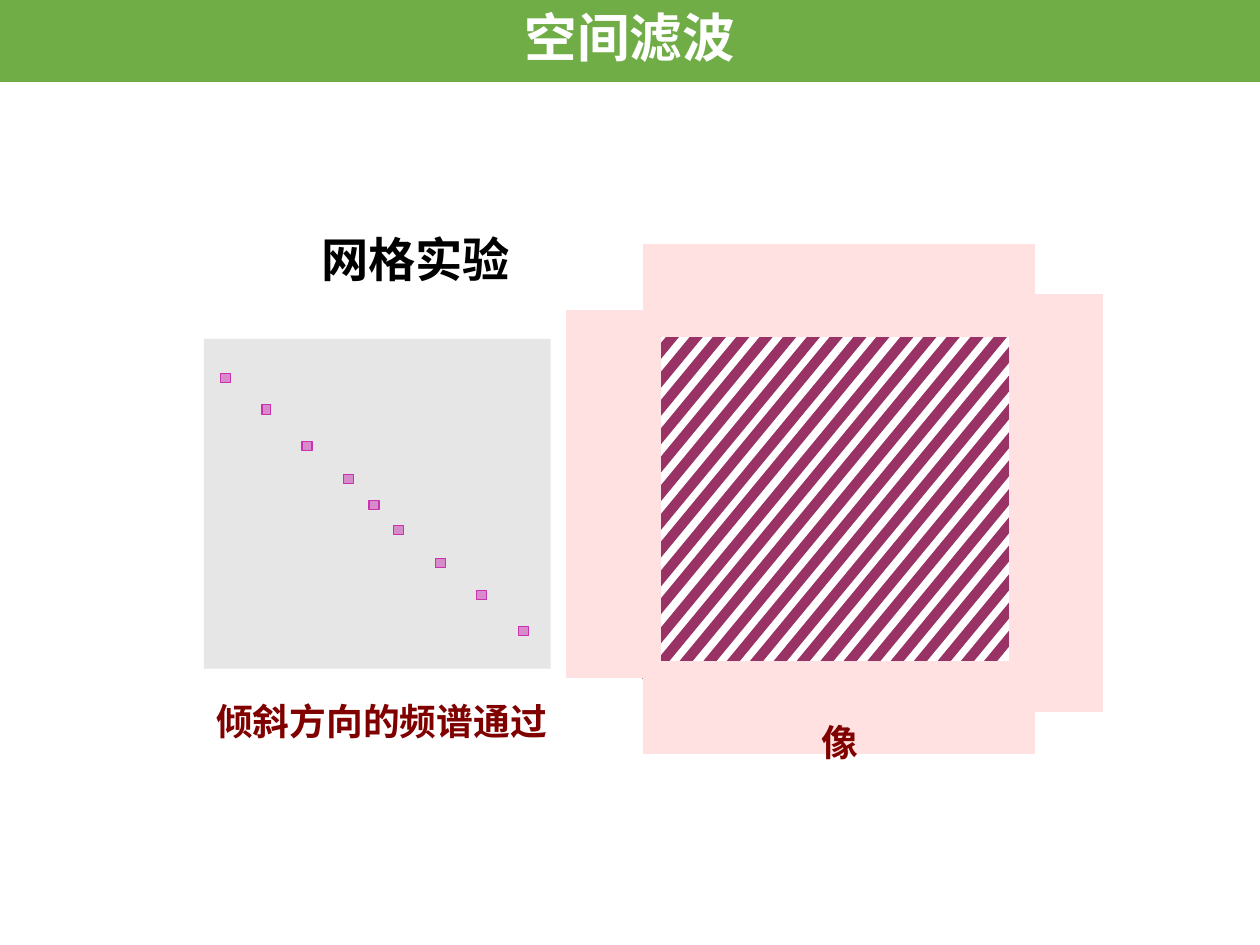
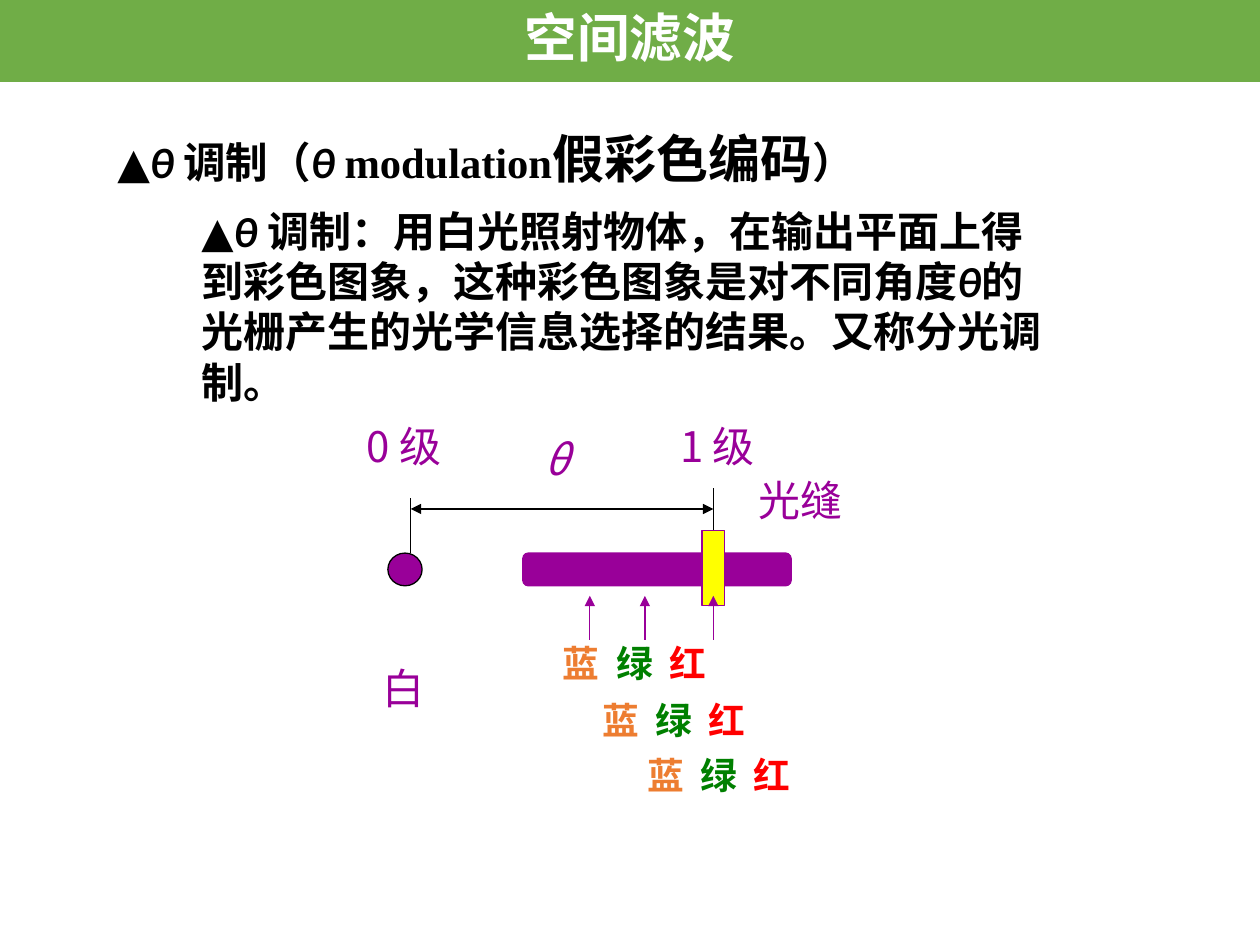
import math
import pptx
import pptx.dml.color
import pptx.enum.shapes
import pptx.enum.text
import pptx.oxml.ns
import pptx.util
from lxml import etree

Cm = pptx.util.Cm
Pt = pptx.util.Pt
qn = pptx.oxml.ns.qn
SHAPES = pptx.enum.shapes.MSO_SHAPE
ALIGN = pptx.enum.text.PP_ALIGN
ANCHOR = pptx.enum.text.MSO_ANCHOR

GREEN, WHITE, BLACK = "70AD47", "FFFFFF", "000000"
GREY, MAGENTA = "E7E6E6", "CA32B1"
PINK, PLUM, MAROON = "FFE1E1", "993366", "800000"
PURPLE, YELLOW = "990099", "FFFF00"
CJK = "Noto Sans CJK SC"

BAND = {"text": "空间滤波", "box": (0, 0, 25.4, 1.65)}
BAND_FONT = {"name": "Calibri", "size": 30, "bold": True, "color": WHITE}
HEADING_FONT = {"name": "Calibri", "size": 27, "bold": True, "color": BLACK}
CAPTION_FONT = {"name": "Times New Roman", "size": 21, "bold": True, "color": MAROON}
THETA_FONT = {"name": "Calibri", "size": 24, "bold": True, "color": BLACK}
LABEL_FONT = {"name": CJK, "size": 24, "color": PURPLE}
COLOUR_FONT = {"name": CJK, "size": 21, "bold": True}

GRID_TITLE = ("网格实验", (6.22, 4.57, 8, 1.42))
SPECTRUM_CAPTION = ("倾斜方向的频谱通过", (4.11, 13.97, 7.47, 1.14))
IMAGE_CAPTION = ("像", (16.05, 14.35, 1.42, 1.68))
SPECTRUM_BOX = (4.11, 6.83, 6.99, 6.65)
SPECTRUM_DOTS = [
    (4.55, 7.62), (5.37, 8.26), (6.19, 8.99), (7.03, 9.66), (7.54, 10.18),
    (8.03, 10.69), (8.88, 11.35), (9.71, 11.99), (10.55, 12.72),
]
UPRIGHT_DOT = 1
DOT_LONG, DOT_SHORT = 0.2, 0.18

IMAGE_WINDOW = (13.31, 6.78, 20.35, 13.33)
IMAGE_MASKS = [
    (11.43, 6.27, 1.88, 7.39), (12.98, 4.93, 7.87, 1.85),
    (12.98, 13.33, 7.87, 1.85), (20.35, 5.94, 1.88, 8.41),
]
STRIPE_COUNT, STRIPE_ANGLE, STRIPE_WIDTH = 26, 39.5, 0.18
STRIPE_FIRST, STRIPE_LAST, STRIPE_OVERHANG = 10.87, 22.67, 0.4

MODULATION_TITLE = [
    ("▲", {}), ("θ ", {"italic": True}), ("调制（", {}), ("θ ", {"italic": True}),
    ("modulation", {"name": "Times New Roman"}), ("假彩色编码", {"size": 29.7}), ("）", {}),
]
MODULATION_TEXT = [
    ("▲", {}), ("θ ", {"italic": True}),
    ("调制：用白光照射物体，在输出平面上得到彩色图象，这种彩色图象是对不同角度", {}),
    ("θ", {"italic": True}),
    ("的光栅产生的光学信息选择的结果。又称分光调制。", {}),
]
COLOUR_NAMES = [("蓝", "ED7D31"), ("绿", "008000"), ("红", "FF0000")]
COLOUR_ROWS = [(11.1, 12.8), (11.89, 13.94), (12.8, 15.04)]
COLOUR_PITCH = 1.07
LABELS = [
    ("0 级", 7.14, 8.36, {}),
    ("1 级", 13.46, 8.36, {}),
    ("光缝", 15.04, 9.45, {"name": "Roboto Slab"}),
    ("白", 7.47, 13.23, {"name": "Roboto Slab"}),
    ("θ", 10.72, 8.61, {"italic": True}),
]
ORDER_SHAPES = [
    (SHAPES.FLOWCHART_CONNECTOR, (7.82, 11.15, 0.69, 0.66), PURPLE, BLACK),
    (SHAPES.ROUNDED_RECTANGLE, (10.54, 11.15, 5.41, 0.66), PURPLE, PURPLE),
    (SHAPES.RECTANGLE, (14.15, 10.69, 0.46, 1.52), YELLOW, PURPLE),
]
ZERO_ORDER, FIRST_ORDER = 8.28, 14.38
ORDER_LINES = [
    ((ZERO_ORDER, 11.15), (ZERO_ORDER, 10.03), ()),
    ((FIRST_ORDER, 10.69), (FIRST_ORDER, 9.83), ()),
    ((ZERO_ORDER, 10.26), (FIRST_ORDER, 10.26), ("headEnd", "tailEnd")),
]
COLOUR_ARROWS = [11.89, 13, FIRST_ORDER]
ARROW_BOTTOM, ARROW_TOP = 12.9, 12.01


def colour(value):
    return pptx.dml.color.RGBColor.from_string(value)


def lengths(values):
    return [Cm(round(value, 2)) for value in values]


def write(paragraph, pieces, base):
    for text, changes in pieces:
        run = paragraph.add_run()
        run.text = text
        values = {**base, **changes}
        values["size"] = Pt(values["size"])
        run.font.color.rgb = colour(values.pop("color"))
        for name, value in values.items():
            setattr(run.font, name, value)
        etree.SubElement(run._r.get_or_add_rPr(), qn("a:ea"), typeface="Calibri")


def add_text(slide, box, pieces, base):
    shape = slide.shapes.add_textbox(*lengths(box))
    shape.text_frame.word_wrap = True
    write(shape.text_frame.paragraphs[0], pieces, base)
    return shape


def add_block(slide, kind, box, fill, line=None):
    shape = slide.shapes.add_shape(kind, *lengths(box))
    shape.shadow.inherit = False
    shape.fill.solid()
    shape.fill.fore_color.rgb = colour(fill)
    if line:
        shape.line.color.rgb = colour(line)
        shape.line.width = Pt(0.75)
    else:
        shape.line.fill.background()
    return shape


def add_line(slide, start, end, line_colour, arrow_ends):
    connector = slide.shapes.add_connector(
        pptx.enum.shapes.MSO_CONNECTOR.STRAIGHT, *lengths(start + end))
    connector.line.color.rgb = colour(line_colour)
    connector.line.width = Pt(0.75)
    for end_name in arrow_ends:
        etree.SubElement(connector.line._get_or_add_ln(), qn(f"a:{end_name}"), type="triangle")
    etree.SubElement(connector._element.spPr, qn("a:effectLst"))


def add_slide(presentation, box, pieces, base):
    slide = presentation.slides.add_slide(presentation.slide_layouts[5])
    title = slide.shapes.title
    for name, value in zip(("left", "top", "width", "height"), lengths(box)):
        setattr(title, name, value)
    band = add_block(slide, SHAPES.RECTANGLE, BAND["box"], GREEN)
    for name, margin in (("left", 0.18), ("top", 0.1), ("right", 0.18), ("bottom", 0.1)):
        setattr(band.text_frame, f"margin_{name}", Cm(margin))
    for shape, alignment, texts, font in (
            (title, ALIGN.LEFT, pieces, base),
            (band, ALIGN.CENTER, [(BAND["text"], {})], BAND_FONT)):
        frame = shape.text_frame
        frame.vertical_anchor = ANCHOR.MIDDLE
        frame.word_wrap = True
        frame.auto_size = pptx.enum.text.MSO_AUTO_SIZE.NONE
        frame.paragraphs[0].alignment = alignment
        frame.paragraphs[0].line_spacing = 0.9
        write(frame.paragraphs[0], texts, font)
    return slide


def add_spectrum(slide):
    add_block(slide, SHAPES.RECTANGLE, SPECTRUM_BOX, GREY)
    for index, (x, y) in enumerate(SPECTRUM_DOTS):
        width, height = DOT_LONG, DOT_SHORT
        if index == UPRIGHT_DOT:
            width, height = height, width
        dot = add_block(slide, SHAPES.RECTANGLE,
                        (x - width / 2, y - height / 2, width, height), MAGENTA, MAGENTA)
        dot_colour = dot._element.spPr.find(qn("a:solidFill"))[0]
        etree.SubElement(dot_colour, qn("a:alpha"), val="50000")


def add_stripes(slide):
    left, top, right, bottom = IMAGE_WINDOW
    middle = (top + bottom) / 2
    angle = math.radians(STRIPE_ANGLE)
    slope = math.tan(angle)
    pitch = (STRIPE_LAST - STRIPE_FIRST) / (STRIPE_COUNT - 1)
    for index in range(STRIPE_COUNT):
        crossing = STRIPE_FIRST + index * pitch
        upper = max(top, middle - (right - crossing) / slope) - STRIPE_OVERHANG
        lower = min(bottom, middle + (crossing - left) / slope) + STRIPE_OVERHANG
        length = (lower - upper) / math.cos(angle)
        y = (upper + lower) / 2
        x = crossing + (middle - y) * slope
        box = (x - STRIPE_WIDTH / 2, y - length / 2, STRIPE_WIDTH, length)
        add_block(slide, SHAPES.RECTANGLE, box, PLUM, PLUM).rotation = STRIPE_ANGLE
    for box in IMAGE_MASKS:
        add_block(slide, SHAPES.RECTANGLE, box, PINK, PINK)


def add_grid_slide(presentation):
    heading, box = GRID_TITLE
    slide = add_slide(presentation, box, [(heading, {})], HEADING_FONT)
    add_spectrum(slide)
    add_stripes(slide)
    captions = []
    for text, box in (SPECTRUM_CAPTION, IMAGE_CAPTION):
        captions.append(add_text(slide, box, [(text, {})], CAPTION_FONT))
    captions[1].text_frame._txBody.bodyPr.set("vert", "eaVert")


def add_colour_row(slide, left, top):
    shape = add_text(slide, (left, top, 4.29, 1.14), [], COLOUR_FONT)
    paragraph = shape.text_frame.paragraphs[0]
    tabs = etree.SubElement(paragraph._p.get_or_add_pPr(), qn("a:tabLst"))
    for index in range(1, len(COLOUR_NAMES)):
        etree.SubElement(tabs, qn("a:tab"), pos=str(Cm(index * COLOUR_PITCH)), algn="l")
    pieces = [("\t" * (index > 0) + name, {"color": value})
              for index, (name, value) in enumerate(COLOUR_NAMES)]
    write(paragraph, pieces, COLOUR_FONT)


def add_modulation_slide(presentation):
    slide = add_slide(presentation, (2.11, 2.54, 16.21, 1.42),
                      MODULATION_TITLE, {**THETA_FONT, "size": 24.3})
    add_text(slide, (3.81, 4.01, 17.78, 4.37), MODULATION_TEXT, THETA_FONT)
    for kind, box, fill, line in ORDER_SHAPES:
        add_block(slide, kind, box, fill, line)
    for start, end, arrow_ends in ORDER_LINES:
        add_line(slide, start, end, BLACK, arrow_ends)
    for x in COLOUR_ARROWS:
        add_line(slide, (x, ARROW_BOTTOM), (x, ARROW_TOP), PURPLE, ("tailEnd",))
    for left, top in COLOUR_ROWS:
        add_colour_row(slide, left, top)
    for text, left, top, changes in LABELS:
        shape = add_text(slide, (left, top, 2.21, 1.3), [(text, changes)], LABEL_FONT)
        shape.text_frame.word_wrap = len(text) > 1


def main():
    presentation = pptx.Presentation()
    presentation.slide_width, presentation.slide_height = lengths((25.4, 19.05))
    add_grid_slide(presentation)
    add_modulation_slide(presentation)
    presentation.save("out.pptx")


if __name__ == "__main__":
    main()
